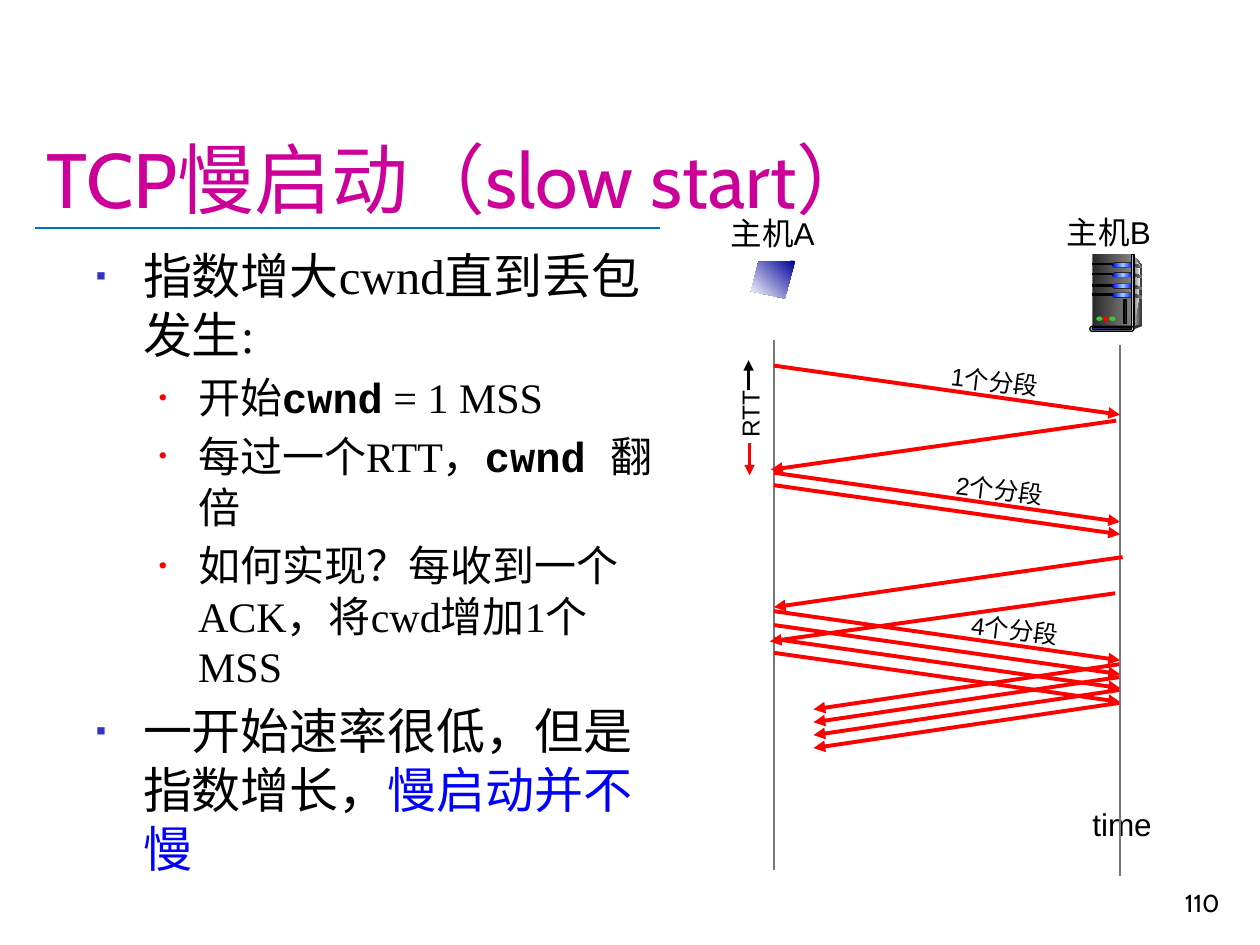
from copy import deepcopy
from dataclasses import dataclass

from lxml import etree
from pptx import Presentation
from pptx.dml.color import RGBColor
from pptx.enum import shapes, text
from pptx.oxml import ns
from pptx.util import Cm, Pt

BLACK = RGBColor(0x00, 0x00, 0x00)
WHITE = RGBColor(0xFF, 0xFF, 0xFF)
MAGENTA = RGBColor(0xCC, 0x00, 0x99)
RED = RGBColor(0xFF, 0x00, 0x00)
BLUE = RGBColor(0x00, 0x00, 0xFF)
SKY = RGBColor(0x99, 0xCC, 0xFF)
NAVY = RGBColor(0x00, 0x00, 0x99)
INDIGO = RGBColor(0x33, 0x33, 0x99)
BULLET_BLUE = RGBColor(0x33, 0x33, 0xCC)
RULE_BLUE = RGBColor(0x00, 0x70, 0xC0)
GREEN = RGBColor(0x33, 0xCC, 0x33)
GRAY = RGBColor(0x77, 0x77, 0x77)
STEEL = RGBColor(0x80, 0x80, 0x80)
CHARCOAL = RGBColor(0x29, 0x29, 0x29)
DARK = RGBColor(0x33, 0x33, 0x33)
INK = RGBColor(0x1C, 0x1C, 0x1C)
SILVER = RGBColor(0xDD, 0xDD, 0xDD)
PALE = RGBColor(0xF8, 0xF8, 0xF8)

RECT = shapes.MSO_SHAPE.RECTANGLE
PILL = shapes.MSO_SHAPE.ROUNDED_RECTANGLE
OVAL = shapes.MSO_SHAPE.OVAL
SERIF, MONO = "Times New Roman", "Courier New"
HOST_A, HOST_B = 15.6, 22.58


@dataclass
class Line:
    x1: float
    y1: float
    x2: float
    y2: float
    color: RGBColor = RED
    width: float = 2.25
    arrow: bool = True


@dataclass
class Label:
    words: str
    left: float
    top: float
    width: float
    height: float
    size: int = 14
    rotation: float = 0
    wrap: bool = True


@dataclass
class Part:
    kind: shapes.MSO_SHAPE
    left: float
    top: float
    width: float
    height: float
    colors: tuple
    outlined: bool = False


@dataclass
class Level:
    mark: str
    color: RGBColor
    percent: int
    margin: float
    hanging: float
    size: int


LEVELS = [Level("▪", BULLET_BLUE, 60, 0.95, 0.95, 28),
          Level("•", RED, 55, 2.06, 0.79, 24)]


def write(paragraph, words: str, *, size: float, font: str = "Arial",
          color: RGBColor = BLACK, bold: bool = False) -> None:
    run = paragraph.add_run()
    run.text = words
    run.font.size, run.font.name, run.font.bold = Pt(size), font, bold
    run.font.color.rgb = color


def place(shape, left: float, top: float, width: float, height: float) -> None:
    shape.left, shape.top = Cm(left), Cm(top)
    shape.width, shape.height = Cm(width), Cm(height)


def draw_line(slide, line: Line) -> None:
    connector = slide.shapes.add_connector(
        shapes.MSO_CONNECTOR.STRAIGHT,
        Cm(line.x1), Cm(line.y1), Cm(line.x2), Cm(line.y2))
    connector.line.color.rgb = line.color
    connector.line.width = Pt(line.width)
    if line.arrow:
        etree.SubElement(connector.line._get_or_add_ln(), ns.qn("a:tailEnd"), type="triangle")
    etree.SubElement(connector._element.spPr, ns.qn("a:effectLst"))


def draw_label(slide, label: Label) -> None:
    box = slide.shapes.add_textbox(Cm(label.left), Cm(label.top), Cm(label.width), Cm(label.height))
    box.rotation = label.rotation
    box.text_frame.word_wrap = label.wrap
    write(box.text_frame.paragraphs[0], label.words, size=label.size)


def paint(shape, colors: tuple, outlined: bool = False, angle: float = 0) -> None:
    shape.shadow.inherit = False
    if len(colors) == 1:
        shape.fill.solid()
        shape.fill.fore_color.rgb = colors[0]
    else:
        shape.fill.gradient()
        shape.fill.gradient_angle = angle
        stops = shape._element.spPr.find(ns.qn("a:gradFill")).find(ns.qn("a:gsLst"))
        while len(stops) < len(colors):
            stops.append(deepcopy(stops[-1]))
        for i, (stop, color) in enumerate(zip(shape.fill.gradient_stops, colors)):
            stop.position = i / (len(colors) - 1)
            stop.color.rgb = color
    if outlined:
        shape.line.color.rgb = BLACK
        shape.line.width = Pt(0.75)
    else:
        shape.line.fill.background()


def draw_part(slide, part: Part) -> None:
    shape = slide.shapes.add_shape(
        part.kind, Cm(part.left), Cm(part.top), Cm(part.width), Cm(part.height))
    if part.kind == PILL:
        shape.adjustments[0] = 0.5
    paint(shape, part.colors, part.outlined)


def draw_outline(slide, points: list, colors: tuple, angle: float = 0) -> None:
    corners = [(Cm(x), Cm(y)) for x, y in points]
    builder = slide.shapes.build_freeform(*corners[0])
    builder.add_line_segments(corners[1:])
    paint(builder.convert_to_shape(), colors, angle=angle)


def draw_server(slide) -> None:
    draw_outline(slide, [(22.86, 5.16), (23.01, 5.33), (23.01, 6.53), (22.81, 6.6)], (SILVER, DARK))
    draw_part(slide, Part(RECT, 22.02, 5.13, 0.79, 1.45, (CHARCOAL, STEEL)))
    draw_outline(slide, [(22.86, 5.23), (22.99, 5.36), (22.94, 6.12), (22.86, 6.55)], (STEEL, PALE))
    for y in (5.31, 5.51, 5.74, 5.92):
        draw_part(slide, Part(RECT, 22.02, y, 0.46, 0.03, (BLACK,), True))
        draw_part(slide, Part(PILL, 22.42, y - 0.02, 0.43, 0.1, (BLACK,)))
        draw_part(slide, Part(PILL, 22.43, y - 0.01, 0.41, 0.08, (BLUE, SKY, BLUE)))
        draw_outline(slide, [(22.83, y), (23.01, y + 0.05), (23.01, y + 0.1), (22.83, y + 0.05)],
                     (CHARCOAL, STEEL))
    for part in (Part(RECT, 22.81, 5.13, 0.05, 1.45, (DARK, SILVER, DARK), True),
                 Part(OVAL, 22.99, 6.53, 0.03, 0.05, (DARK,))):
        draw_part(slide, part)
    draw_outline(slide, [(22.83, 6.58), (22.83, 6.65), (23.01, 6.58), (23.01, 6.53)], (DARK,))
    for part in (Part(PILL, 21.97, 6.58, 0.89, 0.1, (SILVER,), True),
                 Part(PILL, 22.02, 6.6, 0.79, 0.05, (INDIGO, INK), True),
                 Part(RECT, 22.66, 6.05, 0.05, 0.48, (CHARCOAL,), True)):
        draw_part(slide, part)
    for i, color in enumerate((GREEN, RED, GREEN)):
        draw_part(slide, Part(OVAL, 22.1 + 0.13 * i, 6.38, 0.13, 0.09, (color,)))


def add_bullet(paragraph, level: Level) -> None:
    properties = paragraph._p.get_or_add_pPr()
    properties.set("marL", str(Cm(level.margin)))
    properties.set("indent", str(-Cm(level.hanging)))
    tint = etree.SubElement(properties, ns.qn("a:buClr"))
    etree.SubElement(tint, ns.qn("a:srgbClr"), val=str(level.color))
    etree.SubElement(properties, ns.qn("a:buSzPct"), val=str(level.percent * 1000))
    etree.SubElement(properties, ns.qn("a:buChar"), char=level.mark)


def fill_body(body) -> None:
    place(body, 1.68, 4.83, 11.81, 12.9)
    frame = body.text_frame
    frame.auto_size = text.MSO_AUTO_SIZE.NONE
    code = {"font": MONO, "bold": True}
    points = [
        (0, [("指数增大cwnd直到丢包发生:", {})]),
        (1, [("开始", {"font": MONO}), ("cwnd", code), (" = 1 MSS", {})]),
        (1, [("每过一个RTT，", {}), ("cwnd ", code), ("翻倍", {})]),
        (1, [("如何实现？每收到一个ACK，将cwd增加1个MSS", {})]),
        (0, [("一开始速率很低，但是指数增长，", {}), ("慢启动并不慢", {"color": BLUE})]),
    ]
    for i, (depth, runs) in enumerate(points):
        paragraph = frame.add_paragraph() if i else frame.paragraphs[0]
        paragraph.level = depth
        add_bullet(paragraph, LEVELS[depth])
        if not i:
            paragraph.space_before = Pt(0)
        for words, style in runs:
            write(paragraph, words, **{"size": LEVELS[depth].size, "font": SERIF, **style})


def main() -> None:
    deck = Presentation()
    deck.slide_width, deck.slide_height = Cm(25.4), Cm(19.05)
    slide = deck.slides.add_slide(deck.slide_layouts[1])

    title = slide.shapes.title
    place(title, 0.69, 0.58, 24.16, 4.06)
    title.text_frame.auto_size = text.MSO_AUTO_SIZE.NONE
    title.text_frame.vertical_anchor = text.MSO_ANCHOR.BOTTOM
    heading = title.text_frame.paragraphs[0]
    heading.alignment = text.PP_ALIGN.LEFT
    write(heading, "TCP慢启动（slow start）", size=44, font="Cabin", color=MAGENTA)
    fill_body(slide.placeholders[1])

    number = slide.shapes.add_textbox(Cm(19.56), Cm(17.35), Cm(5.28), Cm(1.27)).text_frame
    number.word_wrap = True
    number.vertical_anchor = text.MSO_ANCHOR.BOTTOM
    number.paragraphs[0].alignment = text.PP_ALIGN.RIGHT
    write(number.paragraphs[0], "110", size=14, font="Cabin")

    for label in (Label("主机A", 14.48, 4.19, 2.24, 1.02, 18),
                  Label("主机B", 21.26, 4.17, 2.24, 1.02, 18),
                  Label("1个分段", 18.92, 7.26, 2.29, 0.86, rotation=6.8),
                  Label("2个分段", 19.02, 9.45, 2.29, 0.86, rotation=6.8),
                  Label("4个分段", 19.33, 12.27, 2.29, 0.86, rotation=6.8),
                  Label("RTT", 14.38, 7.92, 1.47, 0.84, rotation=270, wrap=False),
                  Label("time", 21.77, 16.1, 1.7, 1.02, 18, wrap=False)):
        draw_label(slide, label)

    frame_lines = [Line(0.71, 4.6, 13.31, 4.6, RULE_BLUE, 1.25, False),
                   Line(HOST_A, 6.86, HOST_A, 17.53, GRAY, 1.5, False),
                   Line(HOST_B, 6.96, HOST_B, 17.65, GRAY, 1.5, False),
                   Line(15.09, 7.87, 15.09, 7.26, BLACK, 1.5),
                   Line(15.11, 8.94, 15.11, 9.58, RED, 1.5)]
    last_round = [12.32 + 0.28 * i for i in range(4)]
    segments = [Line(HOST_A, y, HOST_B, y + 0.99) for y in [7.37, 9.53, 9.78] + last_round]
    acks = [Line(22.5, 8.48, 15.54, 9.47),
            Line(22.63, 11.23, 15.6, 12.24),
            Line(22.48, 11.96, 15.52, 12.93)]
    last_acks = [Line(22.56, 13.39 + 0.26 * i, 16.4, 14.3 + 0.26 * i) for i in range(4)]
    for line in frame_lines + segments + acks + last_acks:
        draw_line(slide, line)

    draw_outline(slide, [(16.03, 5.26), (15.29, 5.28), (15.14, 5.87), (15.82, 6.02)],
                 (NAVY, WHITE), angle=225)
    draw_server(slide)
    deck.save("out.pptx")


if __name__ == "__main__":
    main()
